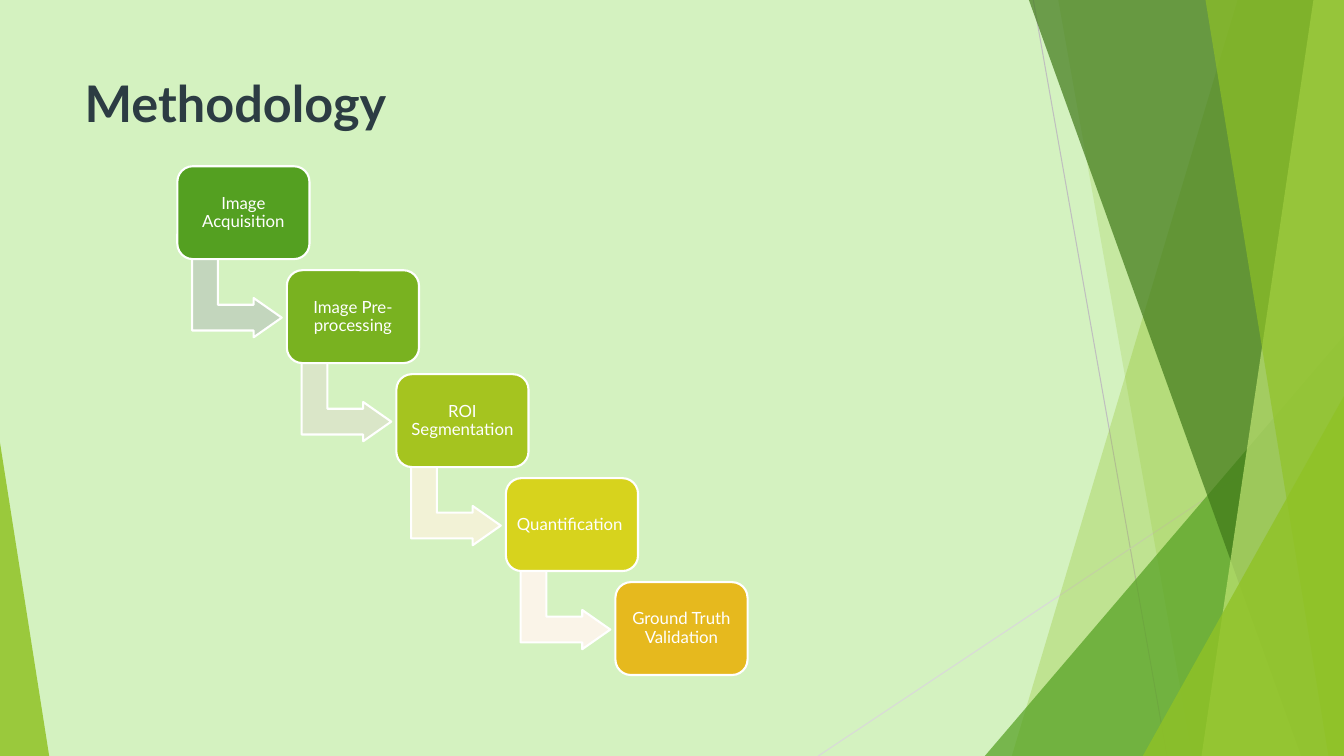
from lxml import etree
from pptx import Presentation
from pptx.dml.color import RGBColor
from pptx.enum.shapes import MSO_CONNECTOR, MSO_SHAPE
from pptx.enum.text import MSO_ANCHOR, PP_ALIGN
from pptx.oxml.ns import qn
from pptx.util import Cm, Pt

TRIANGLE = MSO_SHAPE.ISOSCELES_TRIANGLE
ROUNDED = MSO_SHAPE.ROUNDED_RECTANGLE
BENT_ARROW = MSO_SHAPE.BENT_UP_ARROW
STRAIGHT = MSO_CONNECTOR.STRAIGHT
LEFT, CENTER = PP_ALIGN.LEFT, PP_ALIGN.CENTER
TOP, MIDDLE = MSO_ANCHOR.TOP, MSO_ANCHOR.MIDDLE

FONT = "Lato"
WHITE = "FFFFFF"
LIME = "90C226"
SLIDE_W, SLIDE_H = 33.87, 19.05

# step text, box colour, colour of the arrow to the next step
STEPS = [
    ("Image Acquisition", "54A021", "C3D6BD"),
    ("Image Pre-processing", "79B220", "DAE6C8"),
    ("ROI Segmentation", "A5C41F", "F2F2D6"),
    ("Quantification ", "D7D31D", "FAF4E8"),
    ("Ground Truth Validation", "E6B91E", None),
]
FIRST_LEFT, FIRST_TOP = 4.47, 4.19
STEP_RIGHT, STEP_DOWN = 2.76, 2.62
BOX_W, BOX_H = 3.33, 2.34
ARROW_DX, ARROW_DY, ARROW_W, ARROW_H = 0.51, 2.19, 1.98, 2.26


def rgb(hex_color):
    return RGBColor.from_string(hex_color)


def paint(shape, color, opacity=100, outlined=False):
    shape.shadow.inherit = False
    shape.fill.solid()
    shape.fill.fore_color.rgb = rgb(color)
    if opacity < 100:
        srgb = shape.fill._xPr.find(qn("a:solidFill"))[0]
        etree.SubElement(srgb, qn("a:alpha")).set("val", str(opacity * 1000))
    if outlined:
        shape.line.color.rgb = rgb(WHITE)
        shape.line.width = Pt(1.5)
    else:
        shape.line.fill.background()


def add_preset(slide, preset, left, top, width, height, adjustments):
    shape = slide.shapes.add_shape(
        preset, Cm(left), Cm(top), Cm(width), Cm(height))
    for index, value in enumerate(adjustments):
        shape.adjustments[index] = value
    return shape


def add_thin_line(slide, x1, y1, x2, y2, color):
    line = slide.shapes.add_connector(STRAIGHT, Cm(x1), Cm(y1), Cm(x2), Cm(y2))
    line.line.color.rgb = rgb(color)
    line.line.width = Pt(0.75)
    etree.SubElement(line._element.spPr, qn("a:effectLst"))


def add_band(slide, top_left, bottom_left, bottom_right, color, opacity):
    """Full-height band whose top runs to the right edge of the slide."""
    outline = slide.shapes.build_freeform(Cm(top_left), 0)
    outline.add_line_segments([
        (Cm(SLIDE_W), 0),
        (Cm(SLIDE_W), Cm(SLIDE_H)),
        (Cm(bottom_right), Cm(SLIDE_H)),
        (Cm(bottom_left), Cm(SLIDE_H)),
    ], close=True)
    paint(outline.convert_to_shape(), color, opacity)


def add_corner(slide, left, top, width, apex, color, opacity):
    """Right-angled triangle standing on the bottom edge."""
    corner = add_preset(
        slide, TRIANGLE, left, top, width, SLIDE_H - top, [apex])
    paint(corner, color, opacity)


def format_text(frame, size, color, align, anchor, bold=False):
    frame.word_wrap = True
    frame.vertical_anchor = anchor
    paragraph = frame.paragraphs[0]
    paragraph.alignment = align
    for run in paragraph.runs:
        run.font.name = FONT
        run.font.size = Pt(size)
        run.font.bold = bold
        run.font.color.rgb = rgb(color)


def add_title(slide, text):
    title = slide.shapes.title
    title.left, title.top = Cm(1.88), Cm(1.7)
    title.width, title.height = Cm(23.88), Cm(3.66)
    title.text_frame.text = text
    format_text(title.text_frame, 36, "2C3C43", LEFT, TOP, bold=True)


def add_step(slide, left, top, text, color):
    box = add_preset(slide, ROUNDED, left, top, BOX_W, BOX_H, [0.167])
    paint(box, color, outlined=True)
    frame = box.text_frame
    frame.margin_left = frame.margin_right = Cm(0.12)
    frame.margin_top = frame.margin_bottom = Cm(0.12)
    frame.text = text
    frame.paragraphs[0].line_spacing = 0.9
    format_text(frame, 12, WHITE, CENTER, MIDDLE)


def add_step_arrow(slide, left, top, color):
    arrow = add_preset(slide, BENT_ARROW, left + ARROW_DX, top + ARROW_DY,
                       ARROW_W, ARROW_H, [0.328, 0.25, 0.358])
    arrow.rotation = 90
    paint(arrow, color, outlined=True)


def add_decoration(slide):
    add_thin_line(slide, 26.04, 0, 29.41, SLIDE_H, "BFBFBF")
    add_thin_line(slide, SLIDE_W, 10.24, 20.62, SLIDE_H, "D9D9D9")
    add_band(slide, 31.19, 25.5, SLIDE_W, LIME, 30)
    add_band(slide, 26.67, 30.05, SLIDE_W, LIME, 20)
    add_corner(slide, 24.82, 8.46, 9.05, 1, "54A021", 72)
    add_band(slide, 25.93, 32.79, SLIDE_W, "3F7819", 70)
    add_band(slide, 33.1, 30.28, SLIDE_W, "C0E474", 70)
    add_band(slide, 30.38, 33.48, SLIDE_W, LIME, 65)
    add_corner(slide, 28.8, 9.98, 5.07, 1, LIME, 80)
    add_corner(slide, 0, 11.15, 1.24, 0, LIME, 85)


def main():
    prs = Presentation()
    prs.slide_width, prs.slide_height = Cm(SLIDE_W), Cm(SLIDE_H)
    slide = prs.slides.add_slide(prs.slide_layouts[5])
    slide.background.fill.solid()
    slide.background.fill.fore_color.rgb = rgb("D4F2C0")

    add_decoration(slide)
    add_title(slide, "Methodology")
    for index, (text, box_color, arrow_color) in enumerate(STEPS):
        left = FIRST_LEFT + index * STEP_RIGHT
        top = FIRST_TOP + index * STEP_DOWN
        if arrow_color:
            add_step_arrow(slide, left, top, arrow_color)
        add_step(slide, left, top, text, box_color)
    prs.save("out.pptx")


if __name__ == "__main__":
    main()
